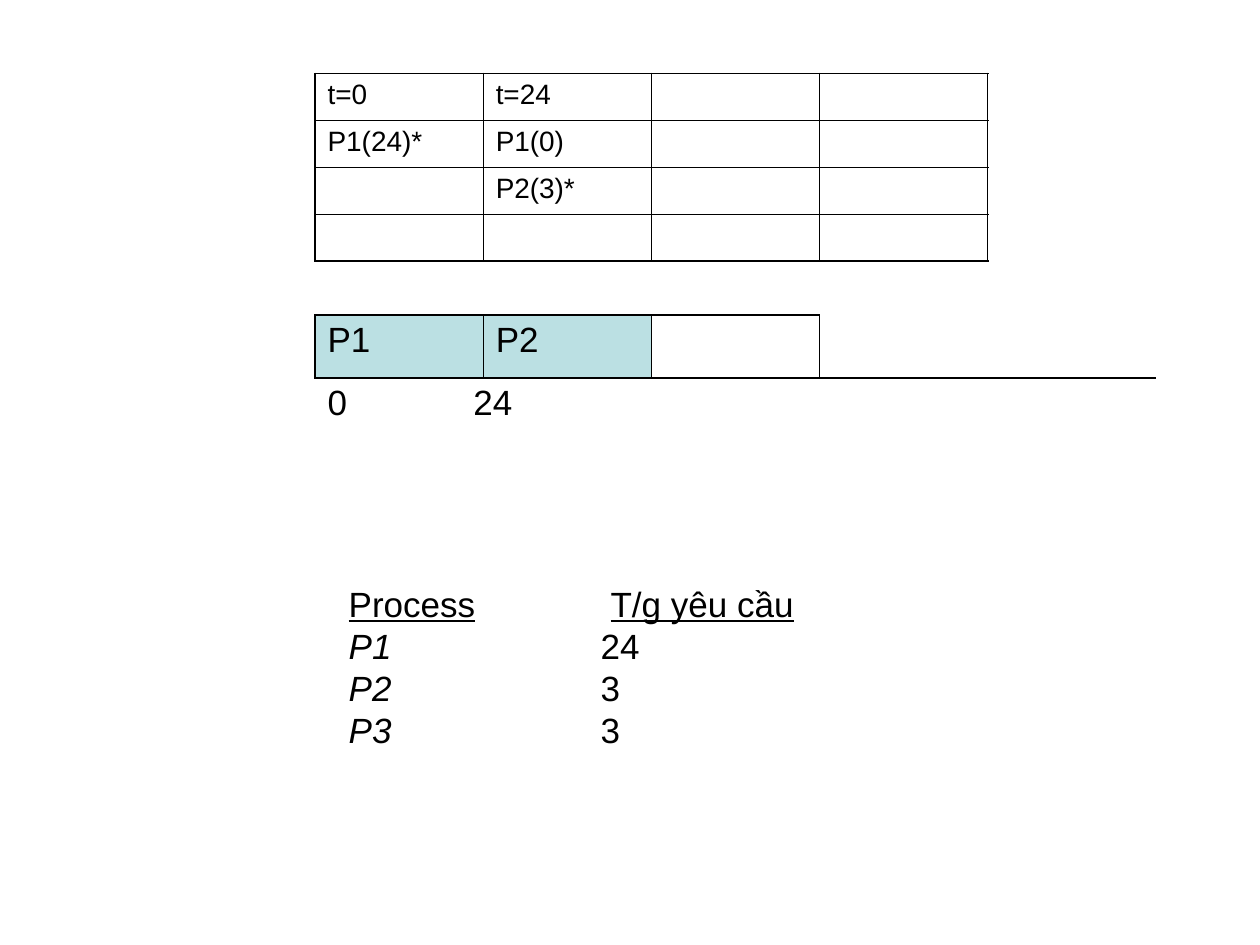
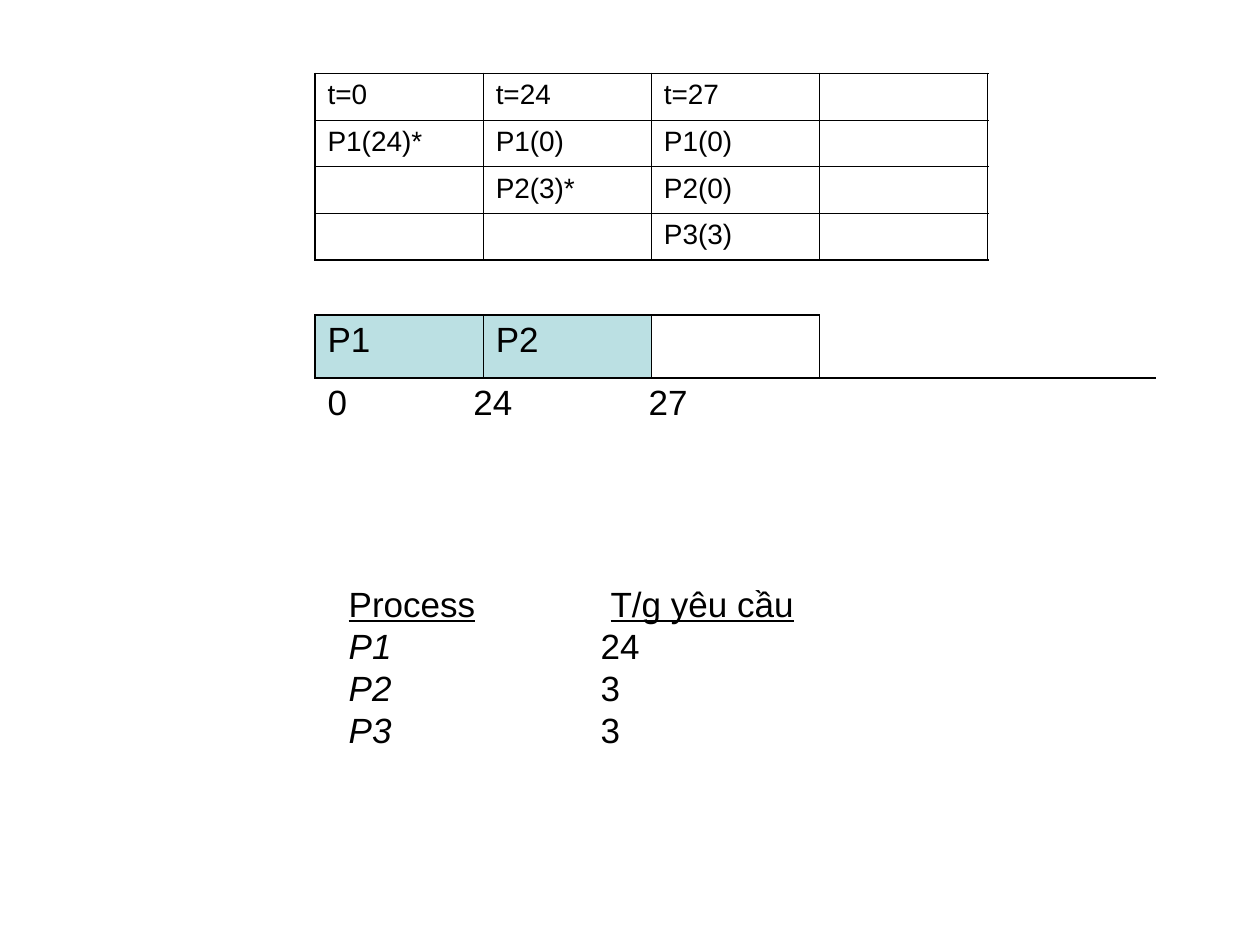
from dataclasses import dataclass
from typing import NamedTuple

from lxml.etree import SubElement
from pptx import Presentation
from pptx.dml.color import RGBColor
from pptx.enum.text import MSO_AUTO_SIZE
from pptx.oxml.ns import qn
from pptx.util import Cm, Pt

BLACK = RGBColor(0x00, 0x00, 0x00)
DONE_FILL = RGBColor(0xBB, 0xE0, 0xE3)
FONT = "Arial"
BLANK_LAYOUT = 6

THIN, THICK, NONE = 0.45, 1.08, 0
SMALL, LARGE = 16, 20

TABLE_LEFT = Cm(6.35)
COLUMN = Cm(3.39)
SLOTS = 4
TIME_TABS = (Cm(2.94), Cm(6.47))
HEADING_TAB, VALUE_TAB = Cm(5.28), Cm(5.08)

REQUIREMENTS = (("P1", "24"), ("P2", "3"), ("P3", "3"))


class Edges(NamedTuple):
    """Border widths of a cell in points."""
    left: float
    right: float
    top: float
    bottom: float


@dataclass(frozen=True)
class Step:
    """State of the schedule: one queue column for each moment."""
    queues: tuple[tuple[str, ...], ...]
    finished: tuple[str, ...]
    times: tuple[str, ...]


STEPS = (
    Step((("t=0", "P1(24)*"), ("t=24", "P1(0)", "P2(3)*")),
         ("P1", "P2"), ("0", "24")),
    Step((("t=0", "P1(24)*"), ("t=24", "P1(0)", "P2(3)*"),
          ("t=27", "P1(0)", "P2(0)", "P3(3)")),
         ("P1", "P2"), ("0", "24", "27")),
)


def write(paragraph, text: str, *, size: int = LARGE, italic: bool = False,
          underline: bool = False) -> None:
    run = paragraph.add_run()
    run.text = text
    font = run.font
    font.name, font.size = FONT, Pt(size)
    font.italic, font.underline = italic, underline
    font.color.rgb = BLACK


def set_tabs(paragraph, *stops: int) -> None:
    tab_list = SubElement(paragraph._p.get_or_add_pPr(), qn("a:tabLst"))
    for stop in stops:
        SubElement(tab_list, qn("a:tab"), pos=str(int(stop)), algn="l")


def set_borders(cell, edges: Edges) -> None:
    properties = cell._tc.get_or_add_tcPr()
    for side, width in zip("LRTB", edges):
        line = SubElement(properties, qn(f"a:ln{side}"), w=str(int(Pt(width))))
        if width == NONE:
            SubElement(line, qn("a:noFill"))
        else:
            fill = SubElement(line, qn("a:solidFill"))
            SubElement(fill, qn("a:srgbClr"), val=str(BLACK))


def fill_cell(cell, text: str, edges: Edges, *, size: int,
              color: RGBColor | None = None) -> None:
    set_borders(cell, edges)
    if color is None:
        cell.fill.background()
    else:
        cell.fill.solid()
        cell.fill.fore_color.rgb = color
    paragraph = cell.text_frame.paragraphs[0]
    paragraph.space_before = Pt(size / 4)
    if text:
        write(paragraph, text, size=size)
    else:
        SubElement(paragraph._p, qn("a:endParaRPr"), sz=str(size * 100))


def add_plain_table(slide, top: int, widths: list[int], heights: list[int]):
    frame = slide.shapes.add_table(len(heights), len(widths), TABLE_LEFT, top,
                                   sum(widths), sum(heights))
    table = frame.table
    table.first_row = table.horz_banding = False
    for column, width in zip(table.columns, widths):
        column.width = width
    for row, height in zip(table.rows, heights):
        row.height = height
    return table


def add_queue_table(slide, step: Step) -> None:
    table = add_plain_table(slide, Cm(1.48), [COLUMN] * SLOTS, [Cm(0.94)] * SLOTS)
    last = SLOTS - 1
    for col in range(SLOTS):
        queue = step.queues[col] if col < len(step.queues) else ()
        for row in range(SLOTS):
            outer = (col == 0, col == last, row == 0, row == last)
            edges = Edges(*(THICK if side else THIN for side in outer))
            text = queue[row] if row < len(queue) else ""
            fill_cell(table.cell(row, col), text, edges, size=SMALL)


def add_timeline(slide, step: Step) -> None:
    table = add_plain_table(slide, Cm(6.35), [COLUMN] * 3 + [2 * COLUMN],
                            [Cm(1.27)] * 2)
    bar = Edges(THIN, THIN, THICK, THICK)
    bar_edges = (bar._replace(left=THICK), bar, bar, Edges(THIN, NONE, NONE, THICK))
    for col, edges in enumerate(bar_edges):
        done = col < len(step.finished)
        fill_cell(table.cell(0, col), step.finished[col] if done else "", edges,
                  size=LARGE, color=DONE_FILL if done else None)
        fill_cell(table.cell(1, col), "\t".join(step.times) if col == 0 else "",
                  Edges(NONE, NONE, THICK, NONE), size=LARGE)
    time_axis = table.cell(1, 0)
    time_axis.merge(table.cell(1, SLOTS - 1))
    set_tabs(time_axis.text_frame.paragraphs[0], *TIME_TABS)


def add_requirements(slide) -> None:
    box = slide.shapes.add_textbox(Cm(6.78), Cm(11.61), Cm(12.7), Cm(3.66))
    frame = box.text_frame
    frame.word_wrap = True
    frame.auto_size = MSO_AUTO_SIZE.SHAPE_TO_FIT_TEXT
    heading = frame.paragraphs[0]
    set_tabs(heading, HEADING_TAB)
    write(heading, "Process", underline=True)
    write(heading, "\t")
    write(heading, "T/g yêu cầu", underline=True)
    for process, duration in REQUIREMENTS:
        line = frame.add_paragraph()
        set_tabs(line, VALUE_TAB)
        write(line, f"{process}\t", italic=True)
        write(line, duration)


def main() -> None:
    deck = Presentation()
    deck.slide_width, deck.slide_height = Cm(25.4), Cm(19.05)
    for step in STEPS:
        slide = deck.slides.add_slide(deck.slide_layouts[BLANK_LAYOUT])
        add_queue_table(slide, step)
        add_timeline(slide, step)
        add_requirements(slide)
    deck.save("out.pptx")


if __name__ == "__main__":
    main()
